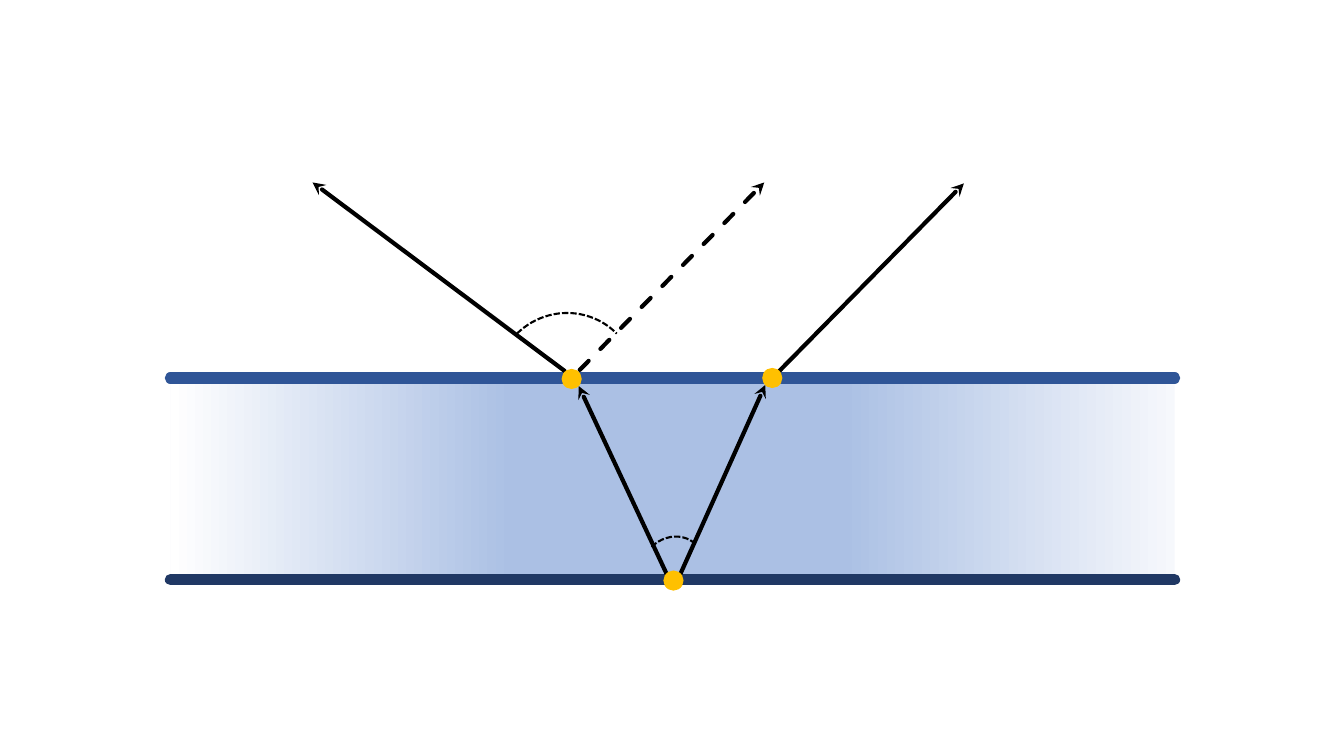
from dataclasses import dataclass

from lxml import etree
from pptx import Presentation
from pptx.dml.color import RGBColor
from pptx.enum.dml import MSO_LINE
from pptx.enum.shapes import MSO_CONNECTOR, MSO_SHAPE
from pptx.oxml.ns import qn
from pptx.slide import Slide
from pptx.util import Inches, Pt

STRAIGHT = MSO_CONNECTOR.STRAIGHT
RECTANGLE = MSO_SHAPE.RECTANGLE
DOT = MSO_SHAPE.FLOWCHART_CONNECTOR
ARC = MSO_SHAPE.ARC
DASH = MSO_LINE.DASH
SHORT_DASH = MSO_LINE.SQUARE_DOT


@dataclass(frozen=True)
class Theme:
    ray: str = "000000"
    dot: str = "FFC000"
    upper_edge: str = "2F5597"
    lower_edge: str = "203864"
    film_stops: tuple = ((0, "F6F8FC"), (33, "ABC0E4"), (66, "ABC0E4"), (100, "FFFFFF"))
    ray_width: float = 3
    edge_width: float = 8
    arc_width: float = 1.5


@dataclass(frozen=True)
class Segment:
    start: tuple[float, float]
    end: tuple[float, float]
    color: str
    width: float
    arrow: bool = True
    dash: MSO_LINE | None = None


@dataclass(frozen=True)
class AngleArc:
    left: float
    top: float
    width: float
    height: float


THEME = Theme()
FILM_LEFT, FILM_RIGHT = 1.69, 11.65
FILM_TOP, FILM_BOTTOM = 3.75, 5.75
DOT_SIZE = 0.2
ARC_ROTATION = 315.4

EDGES = [
    Segment((FILM_LEFT, y), (FILM_RIGHT, y), color, THEME.edge_width, arrow=False)
    for y, color in ((FILM_TOP, THEME.upper_edge), (FILM_BOTTOM, THEME.lower_edge))
]
RAYS = [
    Segment((5.6, 3.68), (3.1, 1.81), THEME.ray, THEME.ray_width),
    Segment((6.61, 5.69), (5.74, 3.83), THEME.ray, THEME.ray_width),
    Segment((6.75, 5.69), (7.59, 3.82), THEME.ray, THEME.ray_width),
    Segment((7.73, 3.68), (9.56, 1.82), THEME.ray, THEME.ray_width),
    Segment((5.75, 3.67), (7.58, 1.81), THEME.ray, THEME.ray_width, dash=DASH),
]
DOT_CENTERS = [(5.67, 3.76), (7.66, 3.75), (6.68, 5.76)]
ARCS = [AngleArc(4.91, 3.11, 1.41, 1.39), AngleArc(6.34, 5.34, 0.66, 0.59)]


def add_film(slide: Slide) -> None:
    film = slide.shapes.add_shape(
        RECTANGLE, Inches(FILM_LEFT), Inches(FILM_TOP),
        Inches(FILM_RIGHT - FILM_LEFT), Inches(FILM_BOTTOM - FILM_TOP))
    film.shadow.inherit = False
    film.line.fill.background()
    film.fill.gradient()
    film.fill.gradient_angle = 180
    stop_list = film.element.spPr.find(qn("a:gradFill")).find(qn("a:gsLst"))
    for stop in list(stop_list):
        stop_list.remove(stop)
    for position, color in THEME.film_stops:
        stop = etree.SubElement(stop_list, qn("a:gs"), pos=str(position * 1000))
        etree.SubElement(stop, qn("a:srgbClr"), val=color)


def add_segment(slide: Slide, segment: Segment) -> None:
    points = [Inches(value) for value in (*segment.start, *segment.end)]
    connector = slide.shapes.add_connector(STRAIGHT, *points)
    connector.line.color.rgb = RGBColor.from_string(segment.color)
    connector.line.width = Pt(segment.width)
    if segment.dash is not None:
        connector.line.dash_style = segment.dash
    properties = connector.element.spPr
    outline = properties.find(qn("a:ln"))
    outline.set("cap", "rnd")
    if segment.arrow:
        etree.SubElement(outline, qn("a:tailEnd"), type="stealth")
    etree.SubElement(properties, qn("a:effectLst"))


def add_dot(slide: Slide, center_x: float, center_y: float) -> None:
    dot = slide.shapes.add_shape(
        DOT, Inches(center_x - DOT_SIZE / 2), Inches(center_y - DOT_SIZE / 2),
        Inches(DOT_SIZE), Inches(DOT_SIZE))
    dot.shadow.inherit = False
    dot.fill.solid()
    dot.fill.fore_color.rgb = RGBColor.from_string(THEME.dot)
    dot.line.fill.background()


def add_arc(slide: Slide, angle: AngleArc) -> None:
    arc = slide.shapes.add_shape(
        ARC, Inches(angle.left), Inches(angle.top), Inches(angle.width), Inches(angle.height))
    arc.rotation = ARC_ROTATION
    arc.shadow.inherit = False
    arc.fill.background()
    arc.line.color.rgb = RGBColor.from_string(THEME.ray)
    arc.line.width = Pt(THEME.arc_width)
    arc.line.dash_style = SHORT_DASH


def main() -> None:
    presentation = Presentation()
    presentation.slide_width = Inches(13.33)
    presentation.slide_height = Inches(7.5)
    slide = presentation.slides.add_slide(presentation.slide_layouts[6])

    # Film with its two surfaces
    add_film(slide)
    for edge in EDGES:
        add_segment(slide, edge)

    # Light rays and the points they leave from
    for ray in RAYS:
        add_segment(slide, ray)
    for center in DOT_CENTERS:
        add_dot(slide, *center)

    # Angles between rays
    for angle in ARCS:
        add_arc(slide, angle)

    presentation.save("out.pptx")


if __name__ == "__main__":
    main()
